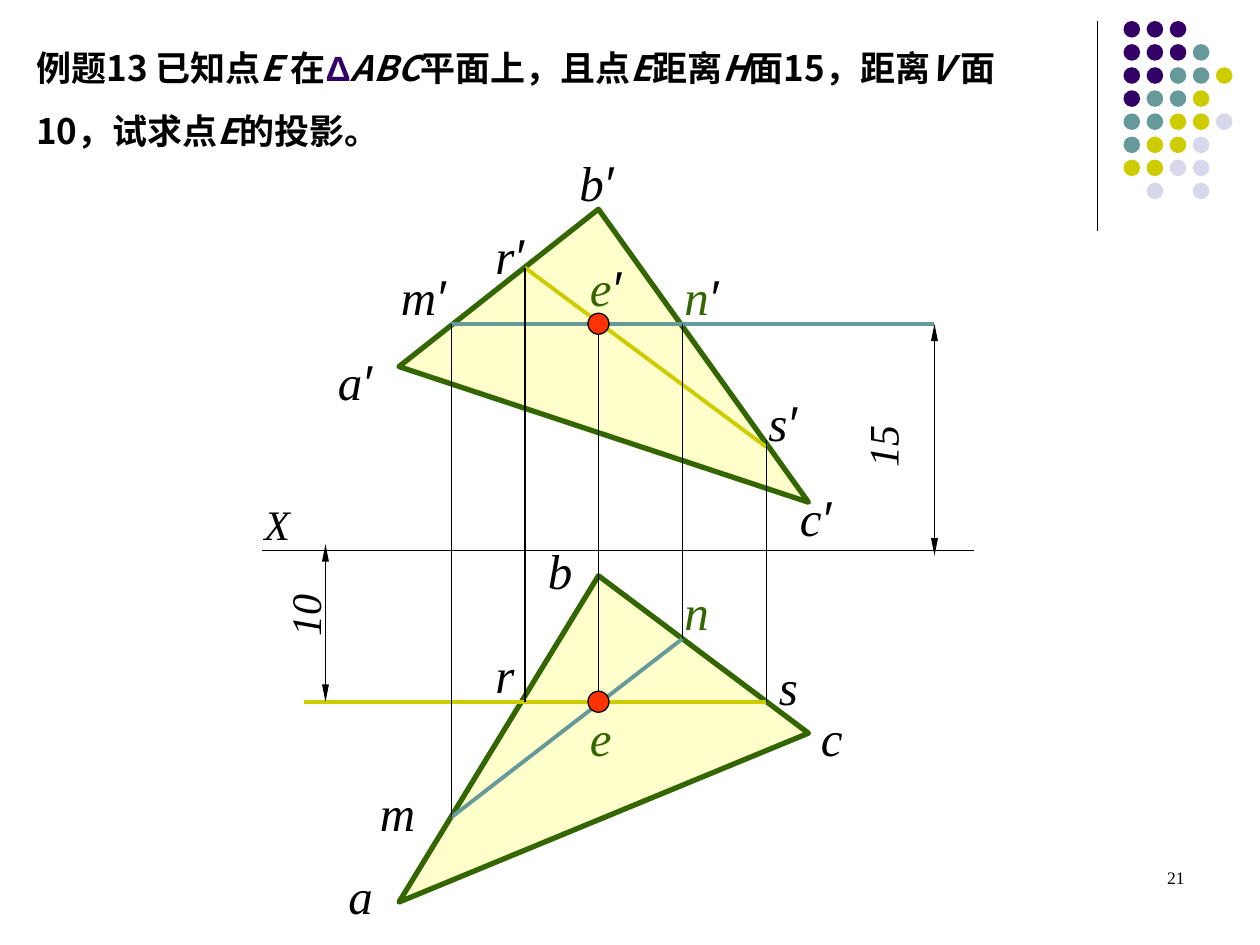
import lxml.etree
import pptx
import pptx.dml.color
import pptx.enum.shapes
import pptx.enum.text
import pptx.oxml.ns
import pptx.util

Pt = pptx.util.Pt
qn = pptx.oxml.ns.qn
BLACK, GREEN, TEAL, YELLOW = "000000", "336600", "669999", "CCCC00"
PURPLE, LILAC, CREAM, RED = "330066", "D8D8EC", "FFFFCC", "FF3300"
SERIF, SANS, CHINESE = "Times New Roman", "Arial", "Noto Sans CJK SC"

TITLE = [
    ("例题13 已知点", False), ("E ", True), ("在", False), ("Δ", False),
    ("ABC", True), ("平面上，且点", False), ("E", True), ("距离", False),
    ("H", True), ("面15，距离", False), ("V ", True),
    ("面10，试求点", False), ("E", True), ("的投影。", False),
]
DOT_ROWS = ["PPP", "PPPT", "PPTTY", "PTTY", "TTYYL", "TYYL", "YYLL", " L L"]
DOT_COLOURS = {"P": PURPLE, "T": TEAL, "Y": YELLOW, "L": LILAC}

TOP_VIEW = [(228, 515.5), (342, 329), (462, 419)]
FRONT_VIEW = [(228, 209.5), (342, 119.5), (462, 287)]
AXIS_Y, FRONT_E_Y, TOP_E_Y, E_X = 314.5, 185, 401, 342
M_X, N_X, R_X, S_X = 258, 390, 300, 438
M_Y, N_Y, R_FRONT_Y, S_FRONT_Y = 467, 365, 153, 255.5
LINES = [
    (150, AXIS_Y, 556.5, AXIS_Y, BLACK, 0.75),
    (N_X, N_Y, M_X, M_Y, TEAL, 2.25),
    (M_X, FRONT_E_Y, 534, FRONT_E_Y, TEAL, 2.25),
    (S_X, TOP_E_Y, 174, TOP_E_Y, YELLOW, 2.25),
    (S_X, S_FRONT_Y, R_X, R_FRONT_Y, YELLOW, 2.25),
    (R_X, TOP_E_Y, R_X, R_FRONT_Y, BLACK, 0.75),
    (N_X, FRONT_E_Y, N_X, N_Y, BLACK, 0.75),
    (M_X, FRONT_E_Y, M_X, M_Y, BLACK, 0.75),
    (S_X, TOP_E_Y, S_X, 251.5, BLACK, 0.75),
    (E_X, TOP_E_Y, E_X, 179.5, BLACK, 0.75),
]
LABELS = [
    ("a′", 186, 197.5, BLACK), ("b′", 324, 83.5, BLACK),
    ("c′", 450, 275, BLACK), ("b", 306, 305.5, BLACK),
    ("a", 192, 491, BLACK), ("c", 462, 401, BLACK),
    ("m", 210, 443.5, BLACK), ("n", 384, 329, GREEN),
    ("m′", 222, 149, BLACK), ("n′", 384, 149, GREEN),
    ("r", 276, 365, BLACK), ("s", 438, 371.5, BLACK),
    ("r′", 276, 125.5, BLACK), ("s′", 432, 221, BLACK),
    ("e′", 330, 143.5, GREEN), ("e", 330, 401, GREEN),
]


def colour(value):
    return pptx.dml.color.RGBColor.from_string(value)


def add_line(page, x1, y1, x2, y2, stroke, width, arrows=False):
    line = page.shapes.add_connector(
        pptx.enum.shapes.MSO_CONNECTOR.STRAIGHT, Pt(x1), Pt(y1), Pt(x2), Pt(y2))
    line.line.color.rgb = colour(stroke)
    line.line.width = Pt(width)
    if arrows:
        outline = line.line._get_or_add_ln()
        for end in ("a:headEnd", "a:tailEnd"):
            lxml.etree.SubElement(outline, qn(end), type="triangle", w="sm", len="lg")
    lxml.etree.SubElement(line._element.spPr, qn("a:effectLst"))


def paint(shape, fill, stroke=None, width=0.75):
    shape.shadow.inherit = False
    shape.fill.solid()
    shape.fill.fore_color.rgb = colour(fill)
    if stroke:
        shape.line.color.rgb = colour(stroke)
        shape.line.width = Pt(width)
    else:
        shape.line.fill.background()


def add_dot(page, left, top, size, fill, stroke=None):
    dot = page.shapes.add_shape(
        pptx.enum.shapes.MSO_SHAPE.OVAL, Pt(left), Pt(top), Pt(size), Pt(size))
    paint(dot, fill, stroke)


def add_triangle(page, corners):
    start, *others = [(Pt(x), Pt(y)) for x, y in corners]
    builder = page.shapes.build_freeform(*start)
    builder.add_line_segments(others, close=True)
    paint(builder.convert_to_shape(), CREAM, GREEN, 3)


def add_text(page, text, left, top, width, height, size):
    box = page.shapes.add_textbox(Pt(left), Pt(top), Pt(width), Pt(height))
    box.text_frame.word_wrap = True
    para = box.text_frame.paragraphs[0]
    para.font.size = Pt(size)
    para.font.name = SERIF
    para.font.color.rgb = colour(BLACK)
    para.add_run().text = text
    return box, para


def add_label(page, text, left, top, fill):
    box, para = add_text(page, text[0], left, top, 60, 41, 28)
    para.font.italic = True
    para.runs[0].font.color.rgb = colour(fill)
    if len(text) > 1:
        prime = para.add_run()
        prime.text = text[1]
        prime.font.name = SANS


def add_dimension(page, text, x, top, bottom, left, text_top):
    add_line(page, x, top, x, bottom, BLACK, 0.75, arrows=True)
    box, para = add_text(page, text, left, text_top, 66, 36, 24)
    para.font.italic = True
    box.rotation = 270


def add_title(page):
    title = page.shapes.title
    title.left, title.top, title.width, title.height = Pt(13.5), Pt(11), Pt(567.5), Pt(79)
    frame = title.text_frame
    frame.word_wrap = True
    frame.auto_size = pptx.enum.text.MSO_AUTO_SIZE.NONE
    frame.vertical_anchor = pptx.enum.text.MSO_ANCHOR.TOP
    para = frame.paragraphs[0]
    para.alignment = pptx.enum.text.PP_ALIGN.LEFT
    para.line_spacing = 1.5
    para.font.size = Pt(20)
    para.font.bold = True
    for text, italic in TITLE:
        span = para.add_run()
        span.text = text
        if italic:
            span.font.italic = True
        greek = text == "Δ"
        span.font.name = SANS if greek else CHINESE
        span.font.color.rgb = colour(PURPLE if greek else BLACK)
        latin = span.font._element.find(qn("a:latin")) if hasattr(span.font, "_element") \
            else span._r.rPr.find(qn("a:latin"))
        latin.addnext(latin.makeelement(qn("a:ea"), {"typeface": CHINESE}))


def add_decoration(page):
    add_line(page, 627, 12, 627, 132, BLACK, 0.75)
    for row, codes in enumerate(DOT_ROWS):
        for column, code in enumerate(codes):
            if code in DOT_COLOURS:
                add_dot(page, 642 + 13.2 * column, 12 + 13.2 * row, 9.5, DOT_COLOURS[code])


def main():
    deck = pptx.Presentation()
    deck.slide_width, deck.slide_height = Pt(720), Pt(540)
    page = deck.slides.add_slide(deck.slide_layouts[5])
    add_decoration(page)
    for corners in (TOP_VIEW, FRONT_VIEW):
        add_triangle(page, corners)
    for line in LINES:
        add_line(page, *line)
    add_dimension(page, "10", 186, 311, TOP_E_Y, 141, 319.5)
    add_dimension(page, "15", 534, FRONT_E_Y, 317.5, 471, 223)
    for y in (FRONT_E_Y, TOP_E_Y):
        add_dot(page, E_X - 6, y - 6, 12, RED, BLACK)
    for label in LABELS:
        add_label(page, *label)
    add_label(page, "X", 144, 281.5, BLACK)
    page.shapes[-1].text_frame.paragraphs[0].font.size = Pt(24)
    add_title(page)
    box, para = add_text(page, "21", 516, 492, 168, 36, 10)
    para.alignment = pptx.enum.text.PP_ALIGN.RIGHT
    deck.save("out.pptx")


if __name__ == "__main__":
    main()
